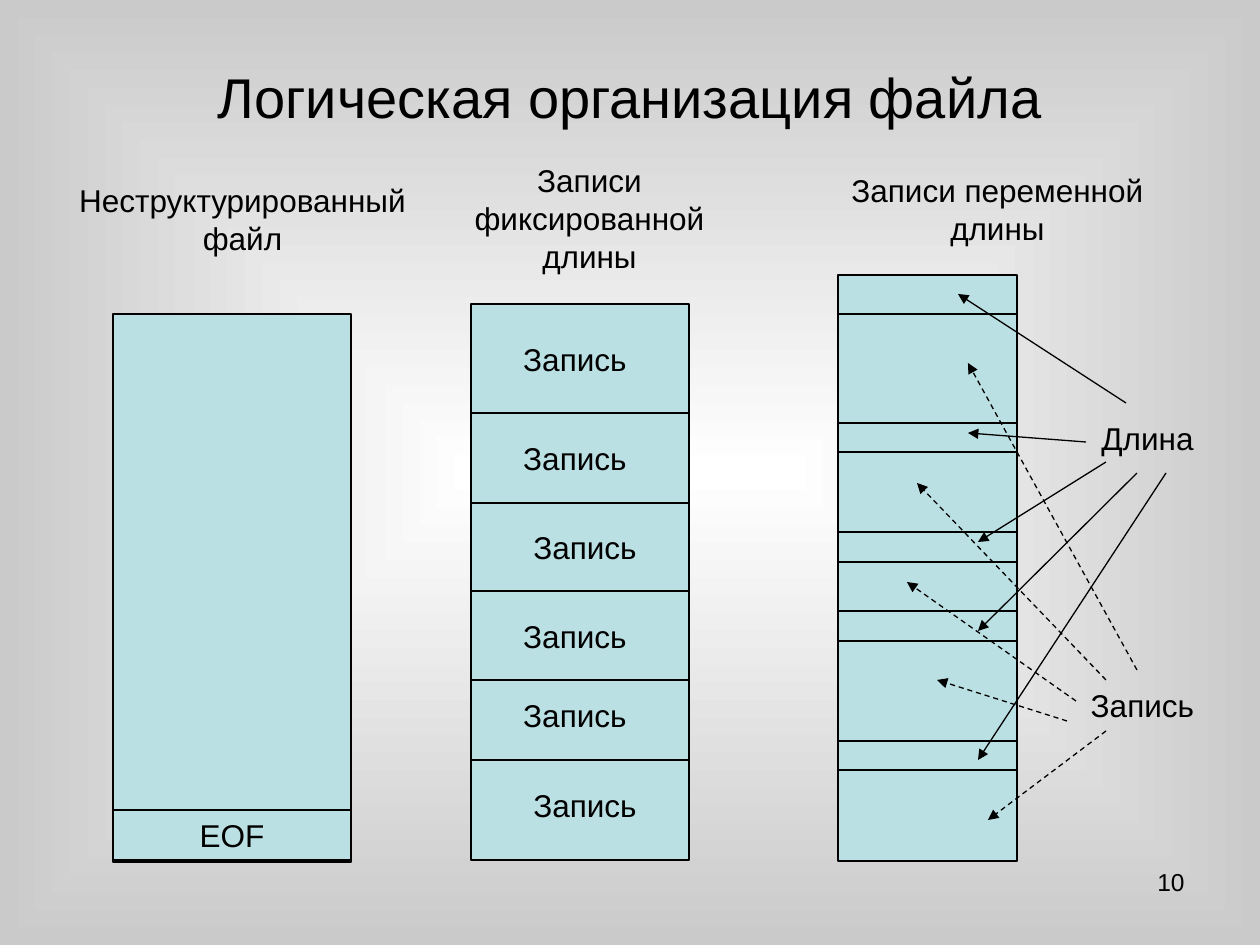
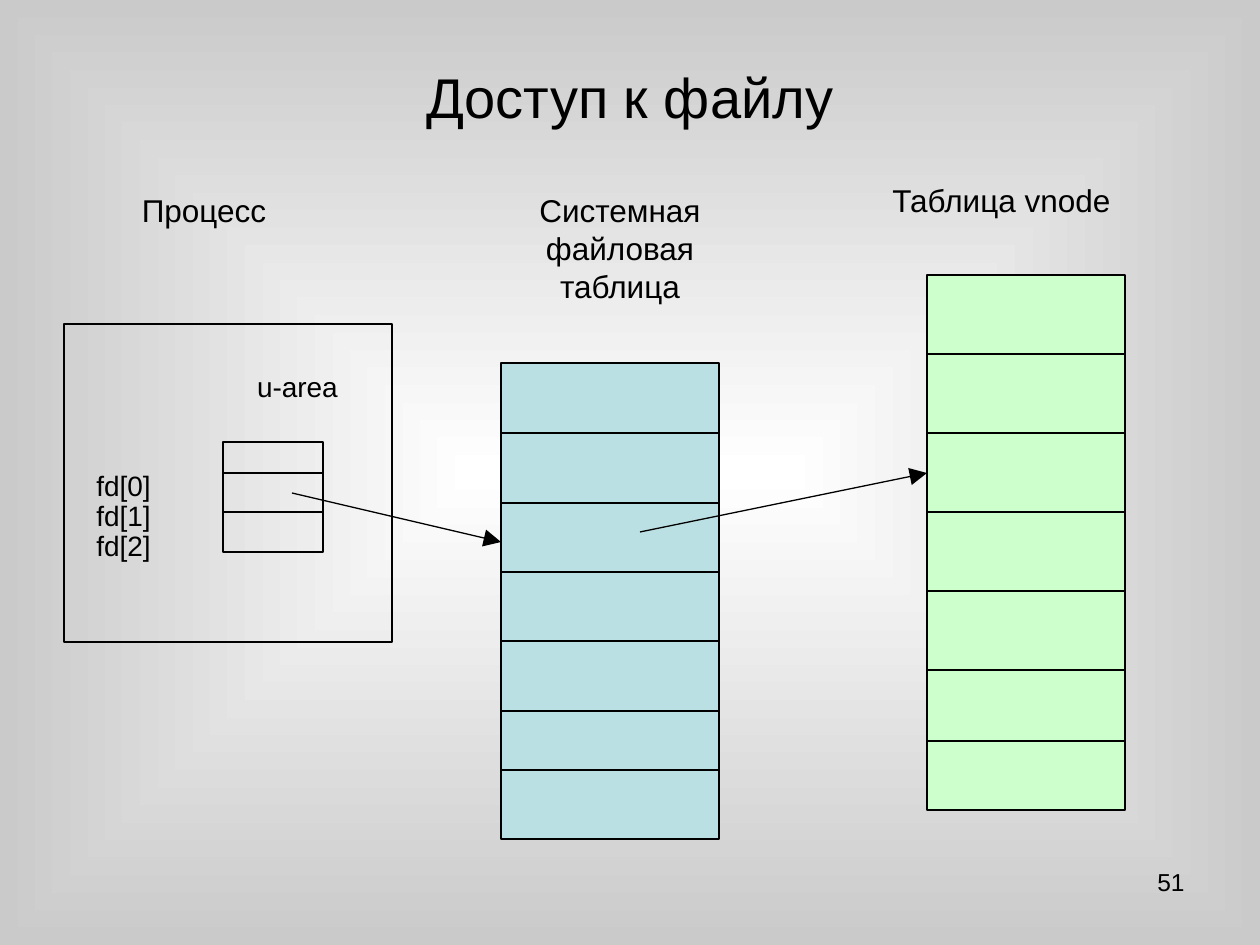
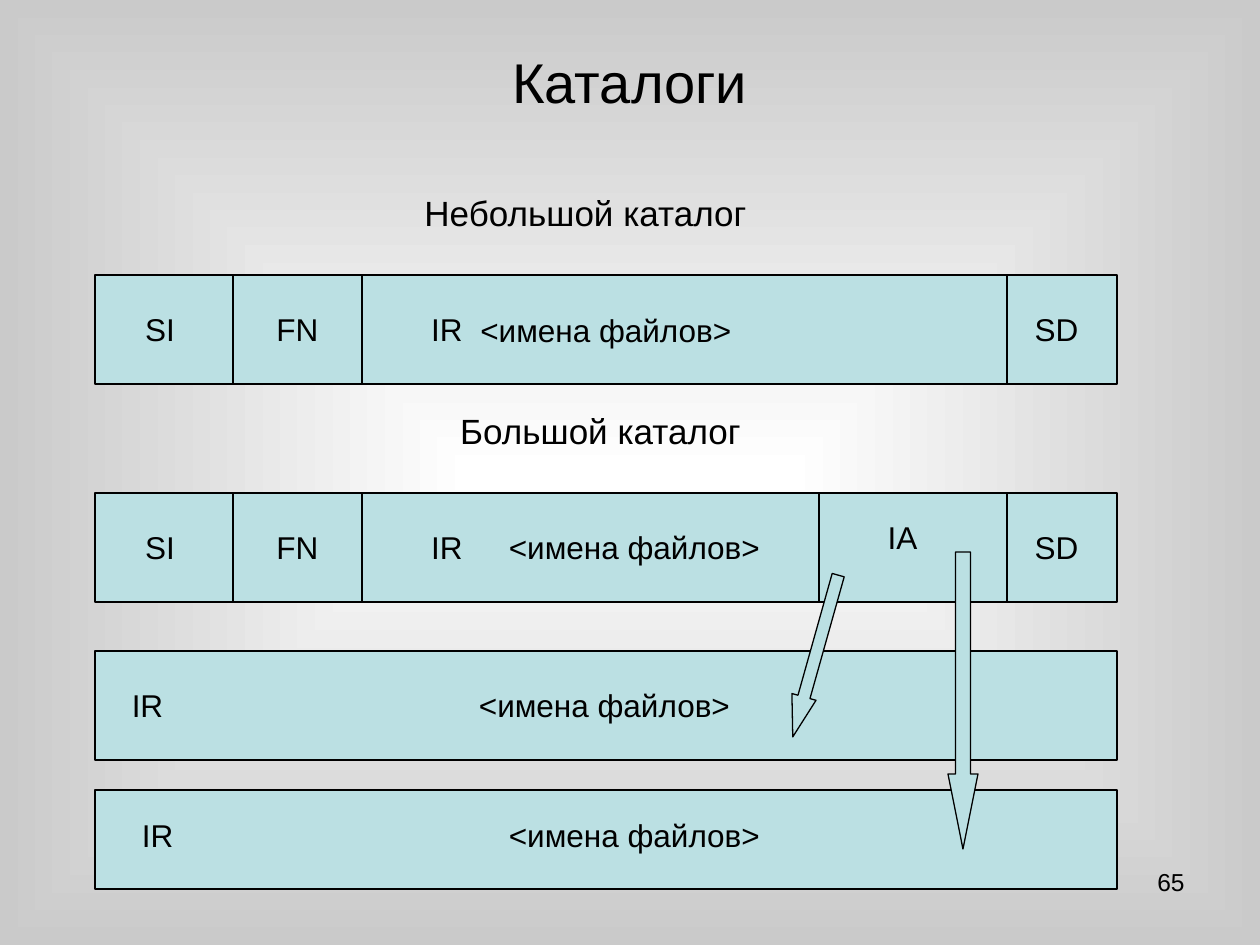
"""Build three slides on file organisation, file access and directories."""
from dataclasses import dataclass

from lxml.etree import SubElement
from pptx import Presentation
from pptx.dml.color import RGBColor
from pptx.enum.dml import MSO_LINE
from pptx.enum.shapes import MSO_CONNECTOR, MSO_SHAPE
from pptx.enum.text import MSO_ANCHOR as Anchor, PP_ALIGN as Align
from pptx.oxml import parse_xml
from pptx.oxml.ns import nsdecls, qn
from pptx.util import Emu, Pt


@dataclass(frozen=True)
class Theme:
    font: str = "Arial"
    ink: RGBColor = RGBColor(0, 0, 0)
    blue: RGBColor = RGBColor(0xBB, 0xE0, 0xE3)
    green: RGBColor = RGBColor(0xCC, 0xFF, 0xCC)
    line_width: Pt = Pt(0.75)
    title: Pt = Pt(32)
    heading: Pt = Pt(20)
    body: Pt = Pt(18)
    small: Pt = Pt(16)
    number: Pt = Pt(14)


THEME = Theme()
PX = 914400 / 126
BACKGROUND = f"""<a:gradFill {nsdecls("a")} rotWithShape="0"><a:gsLst>
<a:gs pos="0"><a:srgbClr val="FFFFFF"/></a:gs>
<a:gs pos="100000"><a:srgbClr val="FFFFFF"><a:gamma/><a:shade val="79216"/><a:invGamma/></a:srgbClr></a:gs>
</a:gsLst><a:path path="shape"><a:fillToRect l="50000" t="50000" r="50000" b="50000"/></a:path></a:gradFill>"""


def add_box(shapes, box, text="", size=THEME.body, align=Align.CENTER, anchor=Anchor.TOP,
            fill=None, outlined=False, kind=MSO_SHAPE.RECTANGLE):
    """Add a text box, or an outlined shape with optional fill and text."""
    place = [Emu(round(value * PX)) for value in box]
    if outlined:
        shape = shapes.add_shape(kind, *place)
        shape.shadow.inherit = False
        shape.line.color.rgb = THEME.ink
        shape.line.width = THEME.line_width
        if fill is None:
            shape.fill.background()
        else:
            shape.fill.solid()
            shape.fill.fore_color.rgb = fill
    else:
        shape = shapes.add_textbox(*place)
    if text:
        frame = shape.text_frame
        frame.word_wrap = True
        frame.vertical_anchor = anchor
        paragraph = frame.paragraphs[0]
        paragraph.alignment = align
        run = paragraph.add_run()
        run.text = text
        for name, value in {"name": THEME.font, "size": size}.items():
            setattr(run.font, name, value)
        run.font.color.rgb = THEME.ink
    return shape


def add_line(shapes, start, end, head=None, dash=None):
    """Add a straight line, with an arrowhead of the given size at its end."""
    ends = [Emu(round(value * PX)) for value in (*start, *end)]
    connector = shapes.add_connector(MSO_CONNECTOR.STRAIGHT, *ends)
    connector.line.color.rgb = THEME.ink
    for name, value in {"width": THEME.line_width, "dash_style": dash}.items():
        setattr(connector.line, name, value)
    properties = connector.element.spPr
    if head:
        SubElement(properties.find(qn("a:ln")), qn("a:tailEnd"), type="triangle", w=head, len=head)
    SubElement(properties, qn("a:effectLst"))


presentation = Presentation()
presentation.slide_width = Emu(round(1260 * PX))
presentation.slide_height = Emu(round(945 * PX))
master = presentation.slide_master
master.background.fill.solid()
background = master.element.cSld.bg.bgPr
background.replace(background[0], parse_xml(BACKGROUND))

slides = []
for title, number, title_height in (
    ("Логическая организация файла", "10", 117),
    ("Доступ к файлу", "51", 117),
    ("Каталоги", "65", 87),
):
    slide = presentation.slides.add_slide(presentation.slide_layouts[6])
    add_box(slide.shapes, (903, 861, 294, 66), number, THEME.number, Align.RIGHT)
    add_box(slide.shapes, (63, 38, 1134, title_height), title, THEME.title, anchor=Anchor.MIDDLE)
    slides.append(slide)
organisation, access, directories = [slide.shapes for slide in slides]

for box, text in (
    ((64, 175, 357, 88), "Неструктурированный файл"),
    ((441, 155, 297, 126), "Записи фиксированной длины"),
    ((809, 165, 377, 88), "Записи переменной длины"),
    ((1063, 413, 169, 50), "Длина"),
    ((1053, 680, 179, 50), "Запись"),
):
    add_box(organisation, box, text)
add_box(organisation, (113, 314, 238, 546), fill=THEME.blue, outlined=True)
add_box(organisation, (113, 810, 238, 52), "EOF", outlined=True)

for shapes, column, fill, dividers in (
    (organisation, (471, 304, 218, 556), THEME.blue, (413, 503, 591, 680, 760)),
    (organisation, (838, 275, 179, 586), THEME.blue, (314, 423, 452, 532, 562, 611, 641, 741, 770)),
    (access, (64, 324, 328, 318), None, ()),
    (access, (501, 363, 218, 476), THEME.blue, (433, 503, 572, 641, 711, 770)),
    (access, (927, 275, 198, 535), THEME.green, (354, 433, 512, 591, 670, 741)),
    (access, (223, 442, 100, 110), None, (473, 512)),
):
    add_box(shapes, column, fill=fill, outlined=True)
    left, top, width, height = column
    for y in dividers:
        add_line(shapes, (left, y), (left + width, y))

for x, y in ((481, 334), (481, 433), (491, 522), (481, 611), (481, 690), (491, 780)):
    add_box(organisation, (x, y, 188, 50), "Запись")

length_arrows = (
    ((1126, 403), (958, 294)),
    ((1086, 442), (968, 433)),
    ((1106, 462), (978, 542)),
    ((1137, 473), (978, 631)),
    ((1166, 473), (978, 760)),
)
record_arrows = (
    ((1137, 670), (968, 363)),
    ((1106, 680), (917, 483)),
    ((1076, 701), (907, 582)),
    ((1106, 731), (988, 820)),
    ((1067, 721), (937, 680)),
)
for arrows, dash in ((length_arrows, None), (record_arrows, MSO_LINE.DASH)):
    for start, end in arrows:
        add_line(organisation, start, end, "med", dash)

for box, text in (
    ((80, 185, 248, 50), "Процесс"),
    ((501, 185, 238, 126), "Системная файловая таблица"),
    ((858, 175, 287, 50), "Таблица vnode"),
):
    add_box(access, box, text)
add_box(access, (233, 363, 129, 47), "u-area", THEME.small)
for index in range(3):
    add_box(access, (84, 462 + 30 * index, 100, 47), f"fd[{index}]", THEME.small, Align.LEFT)
for start, end in (((292, 493), (501, 542)), ((640, 532), (927, 473))):
    add_line(access, start, end, "lg")

add_box(directories, (323, 185, 525, 54), "Небольшой каталог", THEME.heading)
add_box(directories, (402, 403, 397, 54), "Большой каталог", THEME.heading)
for top, names in ((275, "<имена файлов>"), (493, "")):
    record = directories.add_group_shape().shapes
    add_box(record, (95, top, 1022, 109), names, anchor=Anchor.MIDDLE, fill=THEME.blue, outlined=True)
    for x in (233, 362, 1007):
        add_line(record, (x, top), (x, top + 109))
    for left, width, text in ((105, 110, "SI"), (253, 89, "FN"), (392, 110, "IR"), (1017, 79, "SD")):
        add_box(record, (left, top + 29, width, 50), text)
add_line(directories, (819, 493), (819, 602))

for top, height in ((651, 109), (790, 99)):
    add_box(directories, (95, top, 1022, height), fill=THEME.blue, outlined=True)
for left, top, width, text in (
    (858, 512, 89, "IA"),
    (481, 522, 307, "<имена файлов>"),
    (113, 680, 69, "IR"),
    (451, 680, 307, "<имена файлов>"),
    (123, 810, 69, "IR"),
    (481, 810, 307, "<имена файлов>"),
):
    add_box(directories, (left, top, width, 50), text)

for box, rotation, head_ratio in (((803, 572, 25, 168), 15.7, 1.66), ((948, 552, 30, 297), 0, 2.5)):
    arrow = add_box(directories, box, fill=THEME.blue, outlined=True, kind=MSO_SHAPE.DOWN_ARROW)
    arrow.rotation = rotation
    arrow.adjustments[1] = head_ratio

presentation.save("out.pptx")
